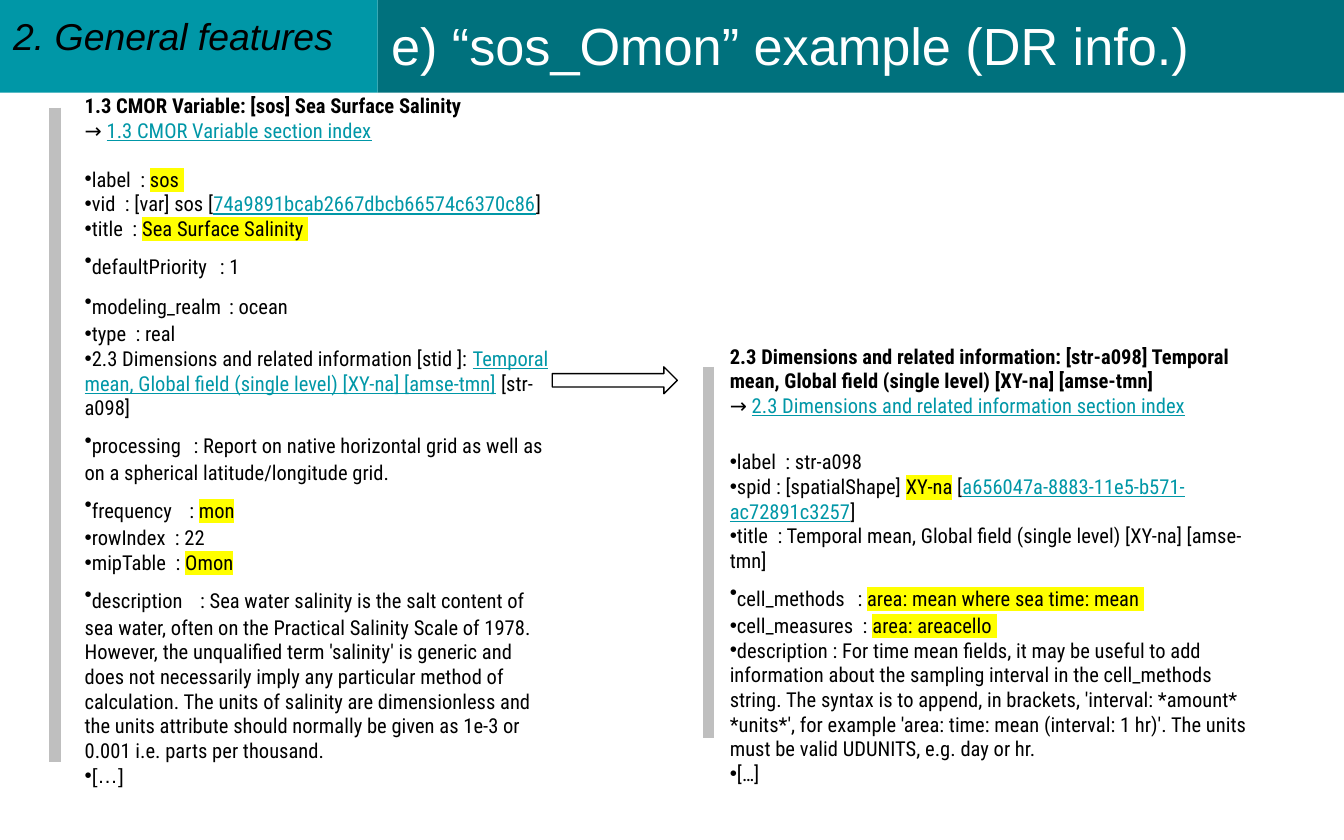
from lxml.etree import SubElement
from pptx import Presentation
from pptx.dml.color import RGBColor
from pptx.enum.shapes import MSO_CONNECTOR, MSO_SHAPE
from pptx.enum.text import MSO_ANCHOR, MSO_AUTO_SIZE, PP_ALIGN
from pptx.oxml import parse_xml
from pptx.oxml.ns import nsdecls, qn
from pptx.util import Inches, Pt

COLORS = {
    "black": "000000", "white": "FFFFFF", "title": "00717D",
    "accent": "0097A7", "rule": "BFBFBF", "mark": "FFFF00",
}
BODY_FONT = "Roboto Condensed"
GAP = (chr(160), "wide")  # large no-break space before a value

# Each paragraph is a list of plain strings or (text, style) pairs.
VARIABLE_HEAD = [
    [("1.3 CMOR Variable: [sos] Sea Surface Salinity", "bold")],
    ["→ ", ("1.3 CMOR Variable section index", "link")],
]
VARIABLE_ITEMS = [
    ["label  : ", ("sos ", "mark")],
    ["vid  : [var] sos [", ("74a9891bcab2667dbcb66574c6370c86", "link"), "]"],
    ["title  : ", ("Sea Surface Salinity ", "mark")],
    ["defaultPriority ", GAP, ": 1"],
    ["modeling_realm", GAP, ": ocean"],
    ["type  : real"],
    ["2.3 Dimensions and related information [stid ]: ",
     ("Temporal mean, Global field (single level) [XY-na] [amse-tmn]", "link"),
     " [str-a098]"],
    ["processing ", GAP, ": Report on native horizontal grid as well as on a "
     "spherical latitude/longitude grid."],
    ["frequency  ", GAP, ": ", ("mon", "mark")],
    ["rowIndex  : 22"],
    ["mipTable  : ", ("Omon", "mark")],
    ["description  ", GAP,
     ": Sea water salinity is the salt content of sea water, often on the "
     "Practical Salinity Scale of 1978. However, the unqualified term 'salinity' "
     "is generic and does not necessarily imply any particular method of "
     "calculation. The units of salinity are dimensionless and the units "
     "attribute should normally be given as 1e-3 or 0.001 i.e. parts per thousand."],
    [("[…]", "arial")],
]
DIMENSION_HEAD = [
    [("2.3 Dimensions and related information: [str-a098] Temporal mean, "
      "Global field (single level) [XY-na] [amse-tmn]", "bold")],
    ["→ ", ("2.3 Dimensions and related information section index", "link")],
]
DIMENSION_ITEMS = [
    ["label  : str-a098"],
    ["spid : [spatialShape] ", ("XY-na", "mark"), " [",
     ("a656047a-8883-11e5-b571-ac72891c3257", "link"), "]"],
    ["title  : Temporal mean, Global field (single level) [XY-na] [amse-tmn]"],
    ["cell_methods ", GAP, ": ", ("area: mean where sea time: mean ", "mark")],
    ["cell_measures  : ", ("area: areacello ", "mark")],
    ["description : For time mean fields, it may be useful to add information "
     "about the sampling interval in the cell_methods string. The syntax is to "
     "append, in brackets, 'interval: *amount* *units*', for example 'area: time: "
     "mean (interval: 1 hr)'. The units must be valid UDUNITS, e.g. day or hr."],
    ["[…]"],
]


def rgb(name):
    return RGBColor.from_string(COLORS[name])


def place(shape, left, top, width, height):
    shape.left, shape.top = Inches(left), Inches(top)
    shape.width, shape.height = Inches(width), Inches(height)


def add_span(para, text, size, color="black", font=BODY_FONT):
    span = para.add_run()
    span.text = text
    span.font.size = Pt(size)
    span.font.name = font
    span.font.color.rgb = rgb(color)
    return span


def add_styled_span(para, text, style=None):
    span = add_span(para, text, 18 if style == "wide" else 11,
                    "accent" if style == "link" else "black",
                    "Arial" if style == "arial" else BODY_FONT)
    span.font.bold = style == "bold"
    span.font.underline = style == "link"
    if style == "mark":
        highlight = parse_xml(
            f'<a:highlight {nsdecls("a")}><a:srgbClr val="{COLORS["mark"]}"/></a:highlight>')
        span.font._element.find(qn("a:solidFill")).addnext(highlight)


def set_bullet(para, bulleted):
    properties = para._p.get_or_add_pPr()
    properties.set("marL", "0")
    properties.set("indent", "0")
    if bulleted:
        SubElement(properties, qn("a:buChar")).set("char", "•")
    else:
        SubElement(properties, qn("a:buNone"))


def fill_list(box, position, head, items, head_gap):
    """Write heading paragraphs, a gap in points, then bulleted items."""
    place(box, *position)
    frame = box.text_frame
    frame.word_wrap = True
    frame.auto_size = MSO_AUTO_SIZE.NONE
    frame.vertical_anchor = MSO_ANCHOR.MIDDLE
    for index, parts in enumerate(head + items):
        para = frame.add_paragraph() if index else frame.paragraphs[0]
        para.alignment = PP_ALIGN.LEFT
        para.space_before = Pt(0)
        para.space_after = Pt(head_gap if index == len(head) - 1 else 0)
        set_bullet(para, index >= len(head))
        for part in parts:
            add_styled_span(para, *([part] if isinstance(part, str) else part))


def fill_banner(shape, position, fill, text, size, color):
    place(shape, *position)
    shape.fill.solid()
    shape.fill.fore_color.rgb = rgb(fill)
    shape.line.fill.background()
    frame = shape.text_frame
    frame.word_wrap = True
    frame.auto_size = MSO_AUTO_SIZE.NONE
    frame.vertical_anchor = MSO_ANCHOR.TOP
    frame.margin_left = frame.margin_right = Inches(0.1)
    frame.margin_top = frame.margin_bottom = Inches(0.1)
    para = frame.paragraphs[0]
    para.alignment = PP_ALIGN.LEFT
    return add_span(para, text, size, color, "Arial")


def add_shape(page, kind):
    shape = page.shapes.add_shape(kind, 0, 0, 0, 0)
    shape.shadow.inherit = False
    return shape


def add_side_rule(page, x, top, bottom):
    rule = page.shapes.add_connector(
        MSO_CONNECTOR.STRAIGHT, Inches(x), Inches(top), Inches(x), Inches(bottom))
    rule.line.color.rgb = rgb("rule")
    rule.line.width = Pt(6)
    SubElement(rule._element.spPr, qn("a:effectLst"))


def add_link_arrow(page):
    arrow = add_shape(page, MSO_SHAPE.RIGHT_ARROW)
    place(arrow, 4.11, 2.73, 0.93, 0.2)
    arrow.fill.solid()
    arrow.fill.fore_color.rgb = rgb("white")
    arrow.line.color.rgb = rgb("black")
    arrow.line.width = Pt(0.75)


def main():
    deck = Presentation()
    deck.slide_width, deck.slide_height = Inches(10), Inches(6.25)
    page = deck.slides.add_slide(deck.slide_layouts.get_by_name("Two Content"))
    title, variable, dimension = list(page.placeholders)[:3]

    fill_list(variable, (0.53, 0.8, 3.67, 4.95), VARIABLE_HEAD, VARIABLE_ITEMS, 13)
    fill_list(dimension, (5.33, 2.65, 4.2, 3.1), DIMENSION_HEAD, DIMENSION_ITEMS, 17)
    add_link_arrow(page)
    add_side_rule(page, 5.27, 2.73, 5.49)
    add_side_rule(page, 0.41, 0.8, 5.67)

    fill_banner(title, (2.81, 0, 7.19, 0.69), "title",
                "e) “sos_Omon” example (DR info.)", 28, "white")
    section = add_shape(page, MSO_SHAPE.RECTANGLE)
    span = fill_banner(section, (0, 0, 2.81, 0.69), "accent",
                       "2. General features", 20, "black")
    span.font.italic = True
    deck.save("out.pptx")


if __name__ == "__main__":
    main()
